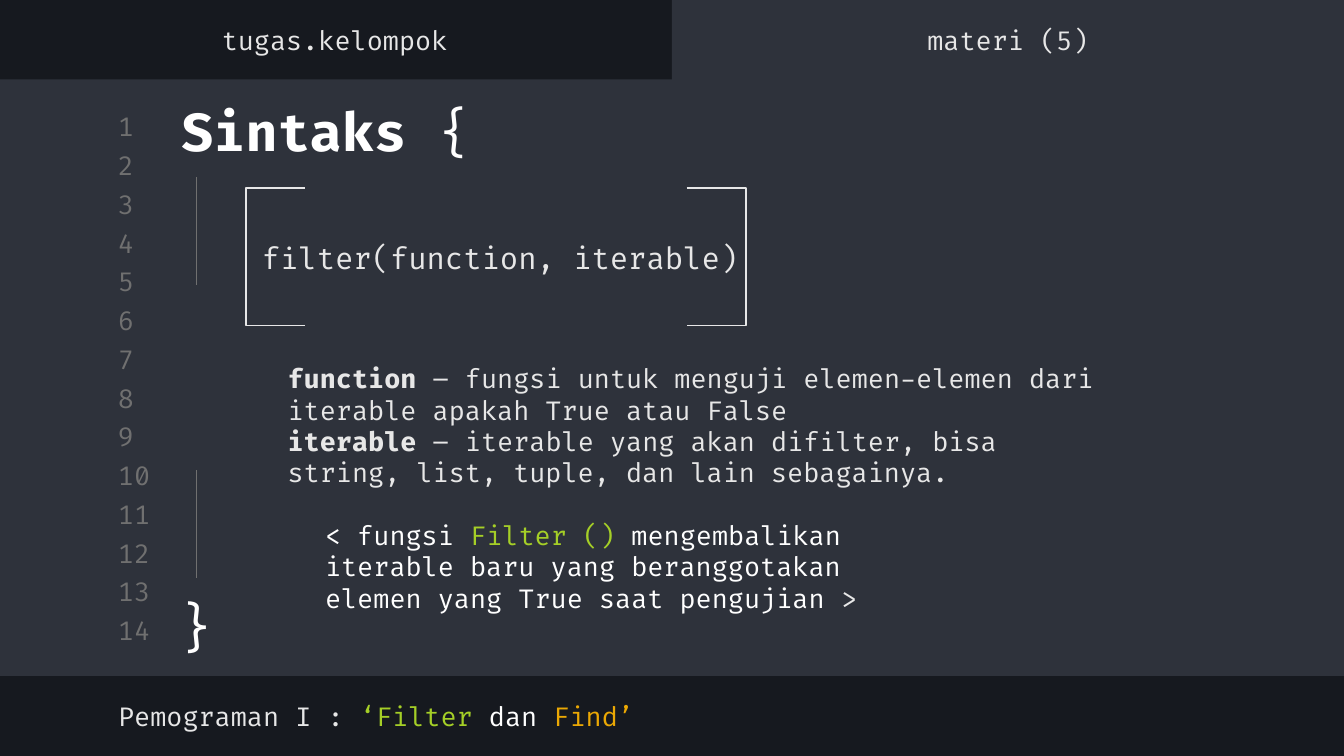
from lxml.etree import SubElement
from pptx import Presentation
from pptx.dml.color import RGBColor
from pptx.enum.shapes import MSO_CONNECTOR, MSO_SHAPE
from pptx.enum.text import MSO_ANCHOR, MSO_AUTO_SIZE, PP_ALIGN
from pptx.oxml.ns import qn
from pptx.util import Inches, Pt

FONT = "Fira Code"
COLORS = {
    "background": "16191F",
    "panel": "2E323B",
    "muted": "707070",
    "text": "E7E7E7",
    "white": "FFFFFF",
    "green": "A5CF27",
    "orange": "EBA804",
}


def rgb(name):
    return RGBColor.from_string(COLORS[name])


def box(left, top, width, height):
    return [Inches(value) for value in (left, top, width, height)]


def add_panel(slide, *position):
    """Filled rectangle placed behind the placeholders."""
    panel = slide.shapes.add_shape(MSO_SHAPE.RECTANGLE, *box(*position))
    panel.shadow.inherit = False
    panel.fill.solid()
    panel.fill.fore_color.rgb = rgb("panel")
    panel.line.fill.background()
    slide.shapes._spTree.insert(2, panel._element)


def add_bracket(slide, kind, *position):
    bracket = slide.shapes.add_shape(kind, *box(*position))
    bracket.adjustments[0] = 0
    bracket.shadow.inherit = False
    bracket.fill.background()
    bracket.line.color.rgb = rgb("text")
    bracket.line.width = Pt(0.75)


def add_guide(slide, x, top, bottom):
    guide = slide.shapes.add_connector(
        MSO_CONNECTOR.STRAIGHT, Inches(x), Inches(top), Inches(x), Inches(bottom))
    guide.line.color.rgb = rgb("muted")
    guide.line.width = Pt(0.75)
    SubElement(guide._element.spPr, qn("a:effectLst"))


def write_text(shape, paragraphs, size=14, align=PP_ALIGN.LEFT,
               anchor=MSO_ANCHOR.MIDDLE, indent=0, before=0):
    """Fill a shape; each paragraph is a list of (text, color, bold) runs."""
    frame = shape.text_frame
    frame.word_wrap = True
    frame.auto_size = MSO_AUTO_SIZE.NONE
    frame.vertical_anchor = anchor
    frame.margin_left = frame.margin_right = Inches(0.1)
    frame.margin_top = frame.margin_bottom = Inches(0.1)
    for index, runs in enumerate(paragraphs):
        paragraph = frame.paragraphs[0] if index == 0 else frame.add_paragraph()
        paragraph.alignment = align
        paragraph.space_before = Pt(before)
        properties = paragraph._p.get_or_add_pPr()
        properties.set("marL", str(Inches(indent)))
        properties.set("indent", "0")
        SubElement(properties, qn("a:buNone"))
        for text, color, bold in runs:
            run = paragraph.add_run()
            run.text = text
            run.font.name = FONT
            run.font.size = Pt(size)
            run.font.bold = bold
            run.font.color.rgb = rgb(color)


def add_text(slide, position, runs, **options):
    write_text(slide.shapes.add_textbox(*box(*position)), [runs], **options)


def fill_placeholder(placeholder, position, paragraphs, **options):
    (placeholder.left, placeholder.top,
     placeholder.width, placeholder.height) = box(*position)
    write_text(placeholder, paragraphs, **options)


def add_line_numbers(slide, count=14, top=0.82, span=3.75):
    step = span / (count - 1)
    for index in range(count):
        add_text(slide, (0.78, top + index * step, 0.47, 0.24),
                 [(str(index + 1), "muted", False)])


def main():
    presentation = Presentation()
    presentation.slide_width = Inches(10)
    presentation.slide_height = Inches(10 * 9 / 16)
    slide = presentation.slides.add_slide(presentation.slide_layouts[1])

    # Editor window
    slide.background.fill.solid()
    slide.background.fill.fore_color.rgb = rgb("background")
    add_panel(slide, 0, 0.59, 10, 4.44)
    add_panel(slide, 5, 0, 5, 0.65)
    add_line_numbers(slide)

    # Tabs and footer
    for left, label in ((-0.01, "tugas.kelompok"), (5, "materi (5)")):
        add_text(slide, (left, 0.1, 5, 0.39), [(label, "text", False)],
                 align=PP_ALIGN.CENTER)
    add_text(slide, (0.78, 5.13, 5.32, 0.39), [
        ("Pemograman I : ", "text", False),
        ("‘Filter ", "green", False),
        ("dan ", "white", False),
        ("Find’", "orange", False),
    ])

    # Title, guides and closing brace
    fill_placeholder(slide.shapes.title, (1.25, 0.68, 4.44, 0.58),
                     [[("Sintaks ", "white", True), ("{ ", "white", False)]],
                     size=28)
    for top in (1.32, 3.5):
        add_guide(slide, 1.46, top, top + 0.8)
    add_text(slide, (1.19, 4.32, 0.55, 0.67), [("}", "white", False)],
             size=28, align=PP_ALIGN.CENTER, anchor=MSO_ANCHOR.TOP)

    # Syntax in brackets
    add_bracket(slide, MSO_SHAPE.LEFT_BRACKET, 1.83, 1.4, 0.44, 1.02)
    add_bracket(slide, MSO_SHAPE.RIGHT_BRACKET, 5.11, 1.4, 0.44, 1.02)
    add_text(slide, (1.85, 1.36, 3.86, 1.12),
             [("filter(function, iterable)", "text", False)], size=16)

    # Parameters and result
    parameters = (
        ("function", " – fungsi untuk menguji elemen-elemen dari iterable "
                     "apakah True atau False"),
        ("iterable", " – iterable yang akan difilter, bisa string, list, "
                     "tuple, dan lain sebagainya."),
    )
    fill_placeholder(slide.placeholders[1], (1.54, 2.42, 6.79, 1.49),
                     [[(name, "text", True), (meaning, "text", False)]
                      for name, meaning in parameters], indent=0.5)
    add_text(slide, (1.83, 3.6, 4.88, 1.23), [
        ("< fungsi ", "white", False),
        ("Filter () ", "green", False),
        ("mengembalikan iterable baru yang beranggotakan elemen yang True "
         "saat pengujian ", "white", False),
        (">", "text", False),
    ], indent=0.49, before=10)

    presentation.save("out.pptx")


main()
